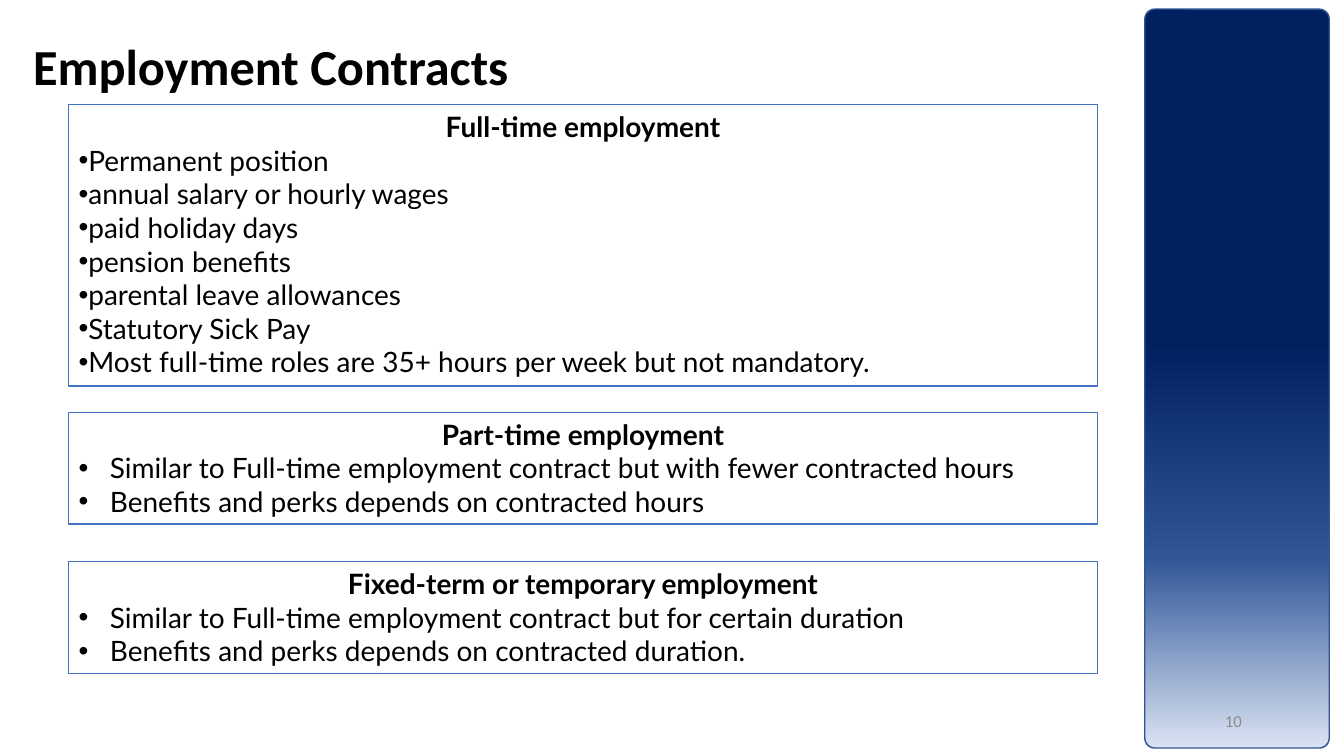
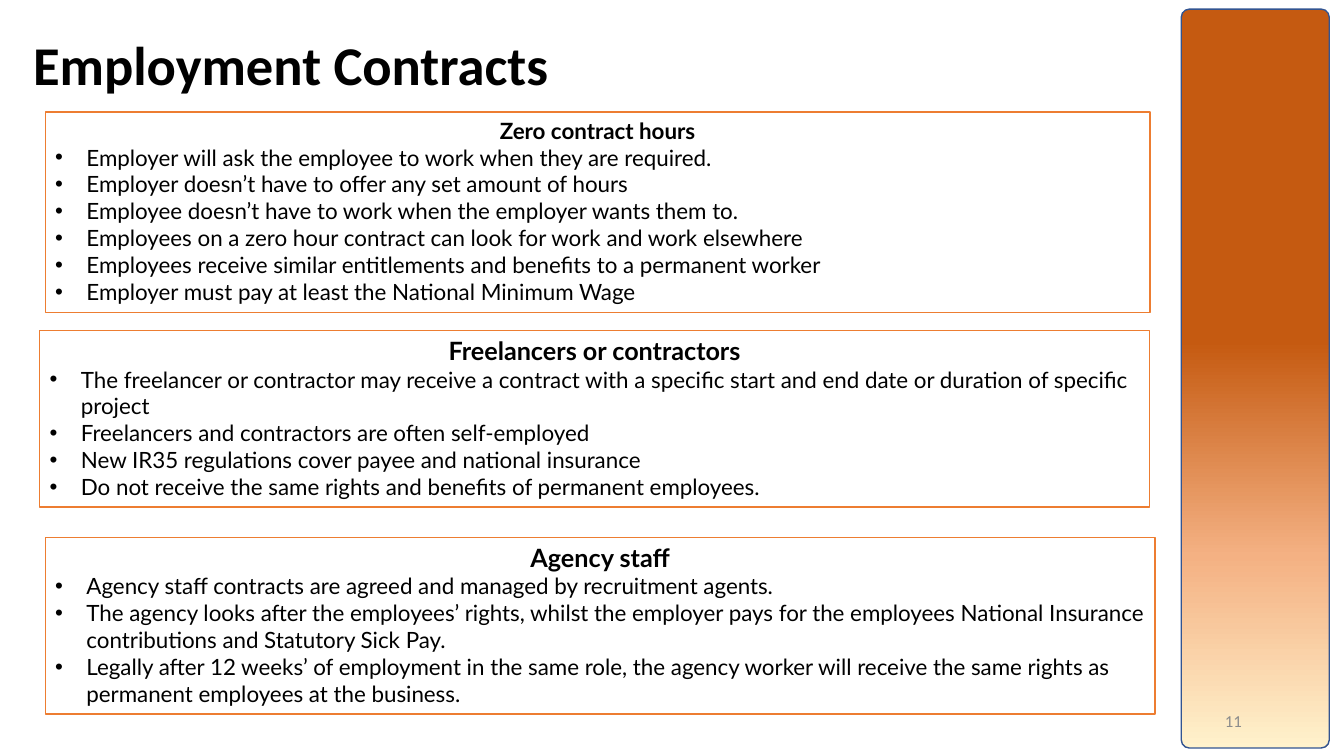
from copy import deepcopy

from lxml import etree
from pptx import Presentation
from pptx import util as u
from pptx.dml.color import RGBColor
from pptx.enum import shapes, text
from pptx.oxml.ns import qn

TITLE_FONT, BODY_FONT = "Calibri", "Lato"
BLACK, WHITE, GREY = "000000", "FFFFFF", "8C8C8C"
BLUE, ORANGE, BAND_LINE = "4472C4", "ED7D31", "325491"
BLUE_FADE = ("002060", "2F5597", "DAE3F3")
ORANGE_FADE = ("C55A11", "F4B183", "FFF2CC")
FADE_POSITIONS = (0.45, 0.74, 1)
BAND_RIGHT = 33.5
HANGING = 0.79


def rgb(value):
    return RGBColor.from_string(value)


class Deck:
    def __init__(self):
        self.presentation = Presentation()
        self.presentation.slide_width = u.Cm(33.87)
        self.presentation.slide_height = u.Cm(19.05)
        self.slide = None

    def new_slide(self, title, size, spacing):
        layout = self.presentation.slide_layouts.get_by_name("Title Only")
        self.slide = self.presentation.slides.add_slide(layout)
        shape = self.slide.shapes.title
        shape.left, shape.top = u.Cm(0.58), u.Cm(0.86)
        shape.width, shape.height = u.Cm(29.21), u.Cm(1.78)
        frame = shape.text_frame
        frame.auto_size = text.MSO_AUTO_SIZE.NONE
        frame.vertical_anchor = text.MSO_ANCHOR.MIDDLE
        paragraph = frame.paragraphs[0]
        paragraph.text = title
        paragraph.alignment = text.PP_ALIGN.LEFT
        paragraph.line_spacing = spacing
        self.style(paragraph, TITLE_FONT, size, BLACK, bold=True)

    def style(self, paragraph, name, size, color, bold=False):
        font = paragraph.font
        font.name, font.size, font.bold = name, u.Pt(size), bold
        font.color.rgb = rgb(color)

    def shape(self, kind, left, top, width, height, line):
        shape = self.slide.shapes.add_shape(
            kind, u.Cm(left), u.Cm(top), u.Cm(width), u.Cm(height))
        shape.shadow.inherit = False
        shape.line.color.rgb = rgb(line)
        shape.line.width = u.Pt(1)
        return shape

    def bullet(self, paragraph, indent):
        properties = paragraph._p.get_or_add_pPr()
        properties.set("marL", str(u.Cm(indent)))
        properties.set("indent", str(-u.Cm(indent)))
        etree.SubElement(properties, qn("a:buFont")).set("typeface", "Arial")
        etree.SubElement(properties, qn("a:buChar")).set("char", "•")

    def box(self, place, line, heading, items, heading_size, size, indent=HANGING):
        """Draw an outlined box with a centred heading above bullets."""
        shape = self.shape(shapes.MSO_SHAPE.RECTANGLE, *place, line)
        shape.fill.solid()
        shape.fill.fore_color.rgb = rgb(WHITE)
        frame = shape.text_frame
        frame.word_wrap = True
        frame.auto_size = text.MSO_AUTO_SIZE.SHAPE_TO_FIT_TEXT
        frame.vertical_anchor = text.MSO_ANCHOR.TOP
        paragraph = frame.paragraphs[0]
        paragraph.text = heading
        paragraph.alignment = text.PP_ALIGN.CENTER
        self.style(paragraph, BODY_FONT, heading_size, BLACK, bold=True)
        for item in items:
            paragraph = frame.add_paragraph()
            paragraph.text = item
            paragraph.alignment = text.PP_ALIGN.LEFT
            self.bullet(paragraph, indent)
            self.style(paragraph, BODY_FONT, size, BLACK)

    def band(self, width, colors):
        """Draw the rounded side band, fading from top to bottom."""
        shape = self.shape(shapes.MSO_SHAPE.ROUNDED_RECTANGLE,
                           BAND_RIGHT - width, 0.23, width, 18.62, BAND_LINE)
        shape.adjustments[0] = 0.055
        shape.fill.gradient()
        shape.fill.gradient_angle = 270
        stop_list = shape._element.spPr.find(".//" + qn("a:gsLst"))
        stop_list.append(deepcopy(stop_list[-1]))
        for stop, color, position in zip(
                shape.fill.gradient_stops, colors, FADE_POSITIONS):
            stop.color.rgb = rgb(color)
            stop.position = position

    def page_number(self, number):
        shape = self.slide.shapes.add_textbox(
            u.Cm(23.93), u.Cm(17.65), u.Cm(7.62), u.Cm(1.02))
        frame = shape.text_frame
        frame.word_wrap = True
        frame.vertical_anchor = text.MSO_ANCHOR.MIDDLE
        paragraph = frame.paragraphs[0]
        paragraph.text = str(number)
        paragraph.alignment = text.PP_ALIGN.RIGHT
        self.style(paragraph, TITLE_FONT, 12, GREY)


def add_permanent_contracts(deck):
    deck.new_slide("Employment Contracts", 36, 0.9)
    left, width = 1.73, 25.93
    deck.box((left, 2.64, width, 7.09), BLUE, "Full-time employment", [
        "Permanent position",
        "annual salary or hourly wages",
        "paid holiday days",
        "pension benefits",
        "parental leave allowances",
        "Statutory Sick Pay",
        "Most full-time roles are 35+ hours per week but not mandatory.",
    ], 20, 20, indent=0)
    deck.box((left, 10.39, width, 2.82), BLUE, "Part-time employment", [
        "Similar to Full-time employment contract but with fewer contracted hours",
        "Benefits and perks depends on contracted hours",
    ], 20, 20)
    deck.box((left, 14.15, width, 2.82), BLUE, "Fixed-term or temporary employment", [
        "Similar to Full-time employment contract but for certain duration",
        "Benefits and perks depends on contracted duration.",
    ], 20, 20)
    deck.band(4.65, BLUE_FADE)
    deck.page_number(10)


def add_flexible_contracts(deck):
    deck.new_slide("Employment Contracts", 39, 0.8)
    deck.box((1.14, 2.82, 27.84, 5.05), ORANGE, "Zero contract hours", [
        "Employer will ask the employee to work when they are required.",
        "Employer doesn’t have to offer any set amount of hours",
        "Employee doesn’t have to work when the employer wants them to.",
        "Employees on a zero hour contract can look for work and work elsewhere",
        "Employees receive similar entitlements and benefits to a permanent worker",
        "Employer must pay at least the National Minimum Wage",
    ], 16, 16)
    deck.box((1, 8.33, 27.97, 4.45), ORANGE, "Freelancers or contractors", [
        "The freelancer or contractor may receive a contract with a specific start "
        "and end date or duration of specific project",
        "Freelancers and contractors are often self-employed",
        "New IR35 regulations cover payee and national insurance",
        "Do not receive the same rights and benefits of permanent employees.",
    ], 18, 16)
    deck.box((1.14, 13.54, 27.97, 4.45), ORANGE, "Agency staff", [
        "Agency staff contracts are agreed and managed by recruitment agents.",
        "The agency looks after the employees’ rights, whilst the employer pays for "
        "the employees National Insurance contributions and Statutory Sick Pay.",
        "Legally after 12 weeks’ of employment in the same role, the agency worker "
        "will receive the same rights as permanent employees at the business.",
    ], 18, 16)
    deck.band(3.73, ORANGE_FADE)
    deck.page_number(11)


def main():
    deck = Deck()
    add_permanent_contracts(deck)
    add_flexible_contracts(deck)
    deck.presentation.save("out.pptx")


if __name__ == "__main__":
    main()
